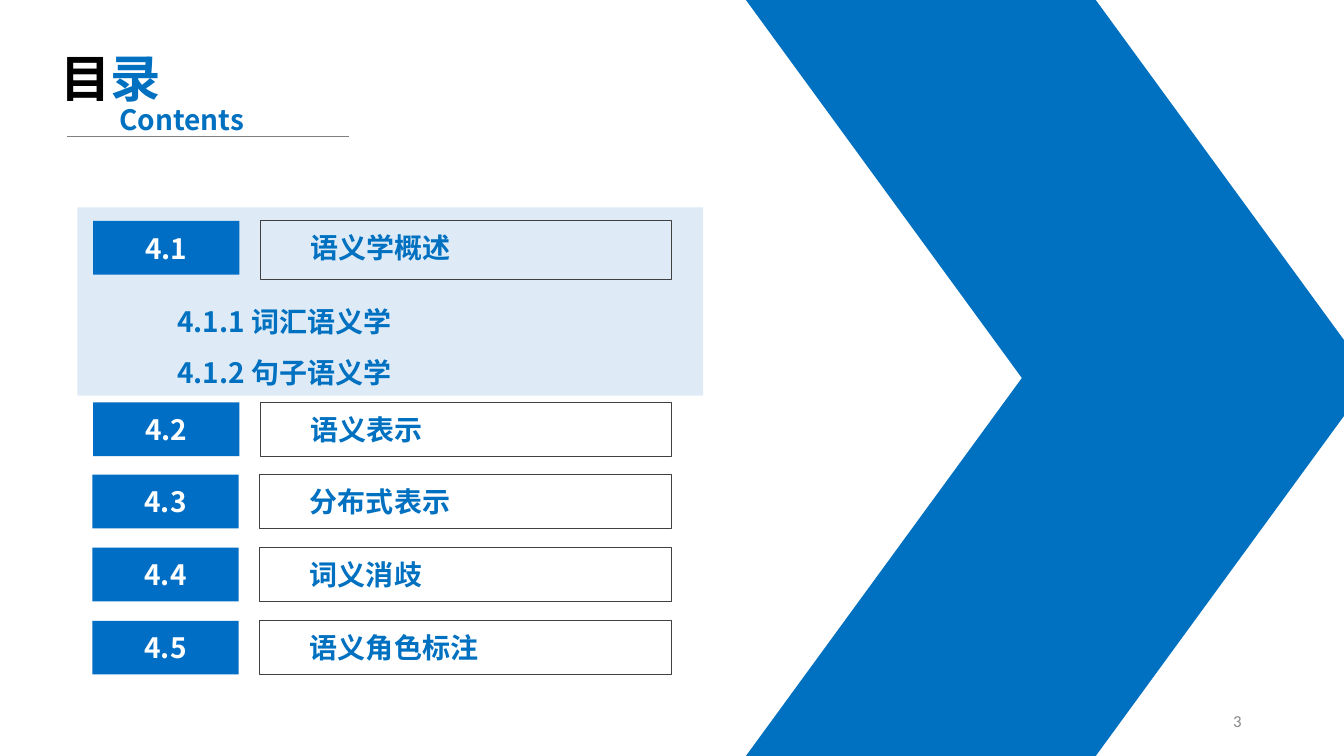
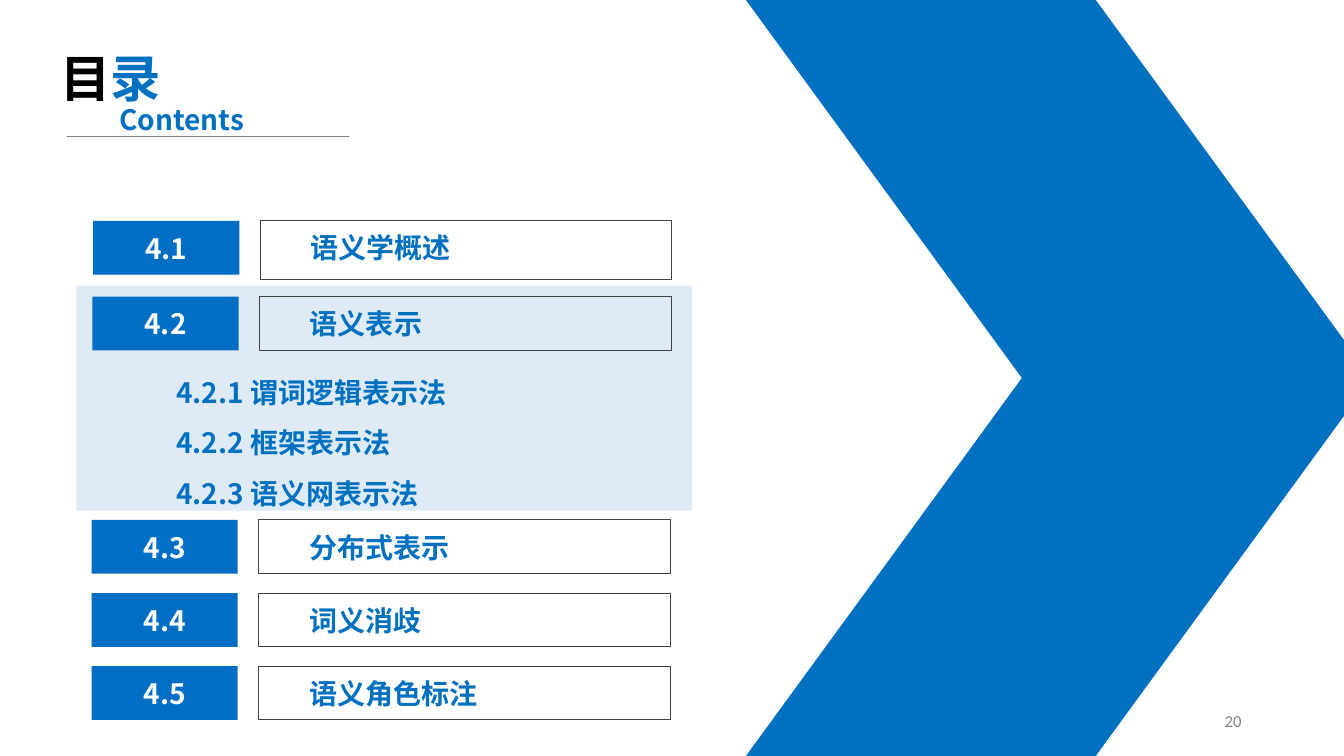
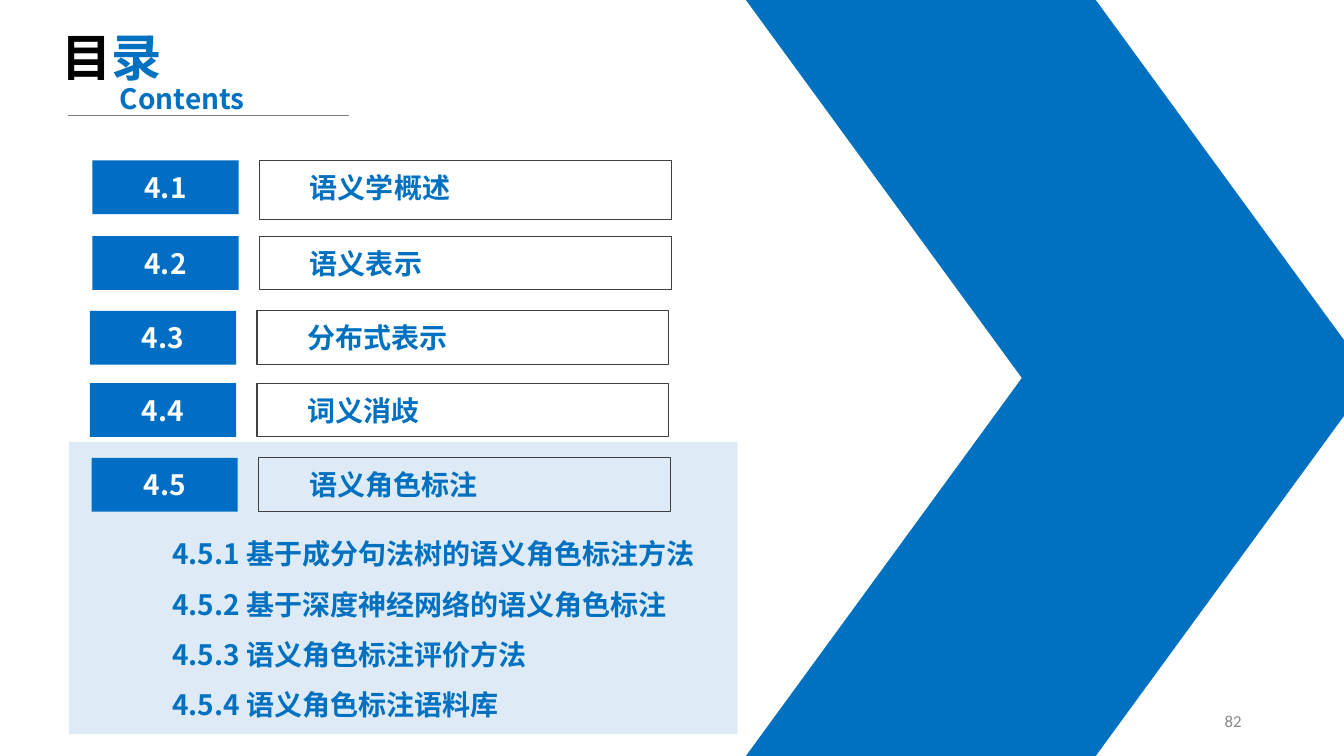
from lxml import etree
from pptx import Presentation
from pptx import util as u
from pptx.dml.color import RGBColor
from pptx.enum import shapes, text
from pptx.oxml.ns import qn

HUES = {
    "band": "0070C0",
    "tag": "006EC5",
    "panel": "DEEBF7",
    "edge": "404040",
    "rule": "7F7F7F",
    "page": "898989",
    "black": "000000",
    "white": "FFFFFF",
}
SANS = "Noto Sans CJK SC"
COLS, ROWS = 160, 90
CELL = 1 / 12
MID = text.MSO_ANCHOR.MIDDLE
LEFT, MIDST, RIGHT = (text.PP_ALIGN.LEFT, text.PP_ALIGN.CENTER,
                      text.PP_ALIGN.RIGHT)
HEADS = ["语义学概述", "语义表示", "分布式表示", "词义消歧", "语义角色标注"]


def grid(*cells):
    """Turn grid cells into lengths."""
    return [u.Inches(c * CELL) for c in cells]


def hue(name):
    return RGBColor.from_string(HUES[name])


class Deck:
    """Holds the style and the slide being drawn."""

    def __init__(self):
        self.prs = Presentation()
        self.prs.slide_width, self.prs.slide_height = grid(COLS, ROWS)
        self.page = None

    def start(self):
        self.page = self.prs.slides.add_slide(self.prs.slide_layouts[6]).shapes

    def shape(self, at, fill=None, edge=None, kind="RECTANGLE"):
        item = self.page.add_shape(shapes.MSO_SHAPE[kind], *grid(*at))
        item.shadow.inherit = False
        if fill:
            item.fill.solid()
            item.fill.fore_color.rgb = hue(fill)
        else:
            item.fill.background()
        if edge:
            item.line.color.rgb = hue(edge)
            item.line.width = u.Pt(0.75)
        else:
            item.line.fill.background()
        return item

    def words(self, item, lines, align=LEFT, size=20, face=SANS, bold=True,
              gap=None, **frame):
        """Fill a shape with lines, each a list of (part, colour) runs."""
        box = item.text_frame
        for key, val in {"word_wrap": True, **frame}.items():
            setattr(box, key, val)
        for num, runs in enumerate(lines):
            para = box.add_paragraph() if num else box.paragraphs[0]
            para.alignment, para.line_spacing = align, gap
            for part, tone in runs:
                run = para.add_run()
                run.text = part
                look = {"size": u.Pt(size), "bold": bold, "name": face}
                for key, val in look.items():
                    setattr(run.font, key, val)
                run.font.color.rgb = hue(tone)
                east = etree.SubElement(run.font._element, qn("a:ea"))
                east.set("typeface", face)

    def label(self, at, lines, **style):
        self.words(self.page.add_textbox(*grid(*at)), lines, **style)

    def arrow(self):
        """Two slanted halves that meet in a point at the right."""
        for top in (ROWS / 2, 0):
            half = self.shape((88.8, top, 74.5, ROWS / 2), "band",
                              kind="PARALLELOGRAM")
            half.adjustments[0] = 0.73
            if not top:
                half._element.spPr.find(qn("a:xfrm")).set("flipV", "1")

    def title(self, col, row):
        self.label((col, row, 18.8, 8.5),
                   [[("目", "black"), ("录", "band")]], size=36)
        ends = grid(col + 2, row + 11.2, col + 35.5, row + 11.2)
        line = self.page.add_connector(shapes.MSO_CONNECTOR.STRAIGHT, *ends)
        line.line.color.rgb = hue("rule")
        line.line.width = u.Pt(0.5)
        etree.SubElement(line._element.spPr, qn("a:effectLst"))
        self.label((col + 7, row + 6.6, 18.8, 5.3), [[("Contents", "band")]])

    def entry(self, num, col, row):
        """One numbered tag and its framed heading; the first is taller."""
        tag = self.shape((col, row, 17.4, 6.4), "tag")
        self.words(tag, [[(f"4.{num}", "white")]], MIDST, vertical_anchor=MID)
        tall = 7 if num == 1 else 6.4
        head = self.shape((col + 19.9, row, 49, tall), edge="edge")
        self.words(head, [[(HEADS[num - 1], "band")]],
                   vertical_anchor=text.MSO_ANCHOR.TOP,
                   margin_left=u.Inches(0.5), margin_top=u.Inches(0.1))

    def topics(self, num, panel, at, names):
        """The open section: a tinted panel with its numbered topics."""
        self.shape(panel, "panel")
        self.label(at, [[(f"4.{num}.{sub} {name}", "band")]
                        for sub, name in enumerate(names, 1)], gap=1.5)

    def number(self, page):
        self.label((113, 83.4, 36, 4.8), [[(str(page), "page")]], align=RIGHT,
                   size=12, face="Calibri", bold=False, vertical_anchor=MID)


PAGES = [
    {
        "page": 3, "title": (6, 5), "open": 1,
        "panel": (9.2, 24.7, 74.5, 22.4), "list": (19.9, 33.7, 58.8, 12.6),
        "names": ["词汇语义学", "句子语义学"],
        "cols": (11.1, 11.1, 11, 11, 11),
        "rows": (26.3, 47.9, 56.5, 65.2, 73.9),
    },
    {
        "page": 20, "title": (6, 5), "open": 2,
        "panel": (9.1, 34, 73.3, 26.8), "list": (19.8, 42.1, 58.8, 18.7),
        "names": ["谓词逻辑表示法", "框架表示法", "语义网表示法"],
        "cols": (11.1, 11, 10.9, 10.9, 10.9),
        "rows": (26.3, 35.3, 61.9, 70.6, 79.3),
    },
    {
        "page": 82, "title": (6.1, 2.5), "open": 5,
        "panel": (8.2, 52.6, 79.6, 34.8), "list": (19.3, 61.3, 70.9, 24.7),
        "names": ["基于成分句法树的语义角色标注方法", "基于深度神经网络的语义角色标注",
                  "语义角色标注评价方法", "语义角色标注语料库"],
        "cols": (11, 11, 10.7, 10.7, 10.9),
        "rows": (19.1, 28.1, 37, 45.6, 54.5),
    },
]


def main():
    deck = Deck()
    for plan in PAGES:
        deck.start()
        deck.topics(plan["open"], plan["panel"], plan["list"], plan["names"])
        deck.arrow()
        for num, spot in enumerate(zip(plan["cols"], plan["rows"]), 1):
            deck.entry(num, *spot)
        deck.title(*plan["title"])
        deck.number(plan["page"])
    deck.prs.save("out.pptx")


if __name__ == "__main__":
    main()
